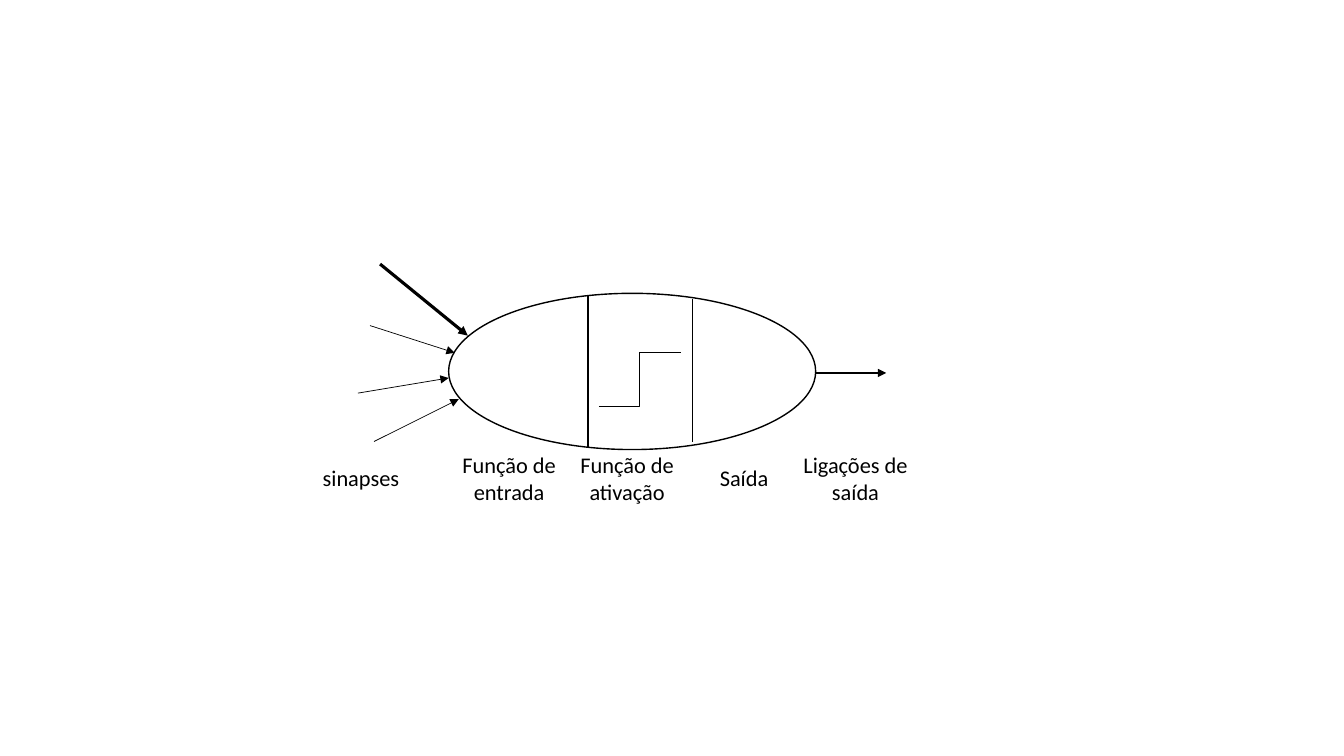
from dataclasses import dataclass

from lxml import etree
from pptx import Presentation
from pptx.dml.color import RGBColor
from pptx.enum.shapes import MSO_CONNECTOR as Connector, MSO_SHAPE as Shape
from pptx.enum.text import MSO_AUTO_SIZE as AutoSize, PP_ALIGN as Align
from pptx.oxml.ns import qn
from pptx.util import Inches, Pt


@dataclass(frozen=True)
class Theme:
    ink: RGBColor = RGBColor(0, 0, 0)
    font: str = "Calibri"
    label_size: Pt = Pt(16)


theme = Theme()

presentation = Presentation()
presentation.slide_width = Inches(13.33)
presentation.slide_height = Inches(7.5)
slide = presentation.slides.add_slide(presentation.slide_layouts[6])


def add_line(start, end, width, arrow=False, kind=Connector.STRAIGHT):
    points = [Inches(value) for value in (*start, *end)]
    connector = slide.shapes.add_connector(kind, *points)
    connector.line.color.rgb = theme.ink
    connector.line.width = Pt(width)
    if arrow:
        outline = connector.line._get_or_add_ln()
        etree.SubElement(outline, qn("a:tailEnd"), type="triangle")
    etree.SubElement(connector._element.spPr, qn("a:effectLst"))


def add_label(text, left, top, width, height):
    box = slide.shapes.add_textbox(
        Inches(left), Inches(top), Inches(width), Inches(height)
    )
    frame = box.text_frame
    frame.word_wrap = True
    frame.auto_size = AutoSize.SHAPE_TO_FIT_TEXT
    paragraph = frame.paragraphs[0]
    paragraph.alignment = Align.CENTER
    run = paragraph.add_run()
    run.text = text
    run.font.name = theme.font
    run.font.size = theme.label_size
    run.font.color.rgb = theme.ink


neuron = slide.shapes.add_shape(
    Shape.OVAL, Inches(4.45), Inches(2.91), Inches(3.64), Inches(1.55)
)
neuron.shadow.inherit = False
neuron.fill.background()
neuron.line.color.rgb = theme.ink
neuron.line.width = Pt(1)

for x, top, bottom in [(6.87, 2.97, 4.39), (5.83, 2.93, 4.43)]:
    add_line((x, top), (x, bottom), 1)

synapses = [
    ((3.77, 2.62), (4.64, 3.33), 2.25),
    ((3.67, 3.23), (4.51, 3.5), 0.5),
    ((3.55, 3.9), (4.45, 3.75), 0.5),
    ((3.71, 4.38), (4.55, 3.96), 0.5),
]
output_link = ((8.08, 3.7), (8.79, 3.7), 1.5)
for start, end, width in [*synapses, output_link]:
    add_line(start, end, width, arrow=True)

add_line((5.94, 4.03), (6.75, 3.5), 0.5, kind=Connector.ELBOW)

one_line = (4.56, 0.37)
two_lines = (4.43, 0.64)
labels = [
    ("sinapses", 2.95, 1.26, one_line),
    ("Função de entrada", 4.47, 1.16, two_lines),
    ("Função de ativação", 5.64, 1.16, two_lines),
    ("Saída", 6.8, 1.16, one_line),
    ("Ligações de saída", 7.86, 1.25, two_lines),
]
for text, left, width, (top, height) in labels:
    add_label(text, left, top, width, height)

presentation.save("out.pptx")
